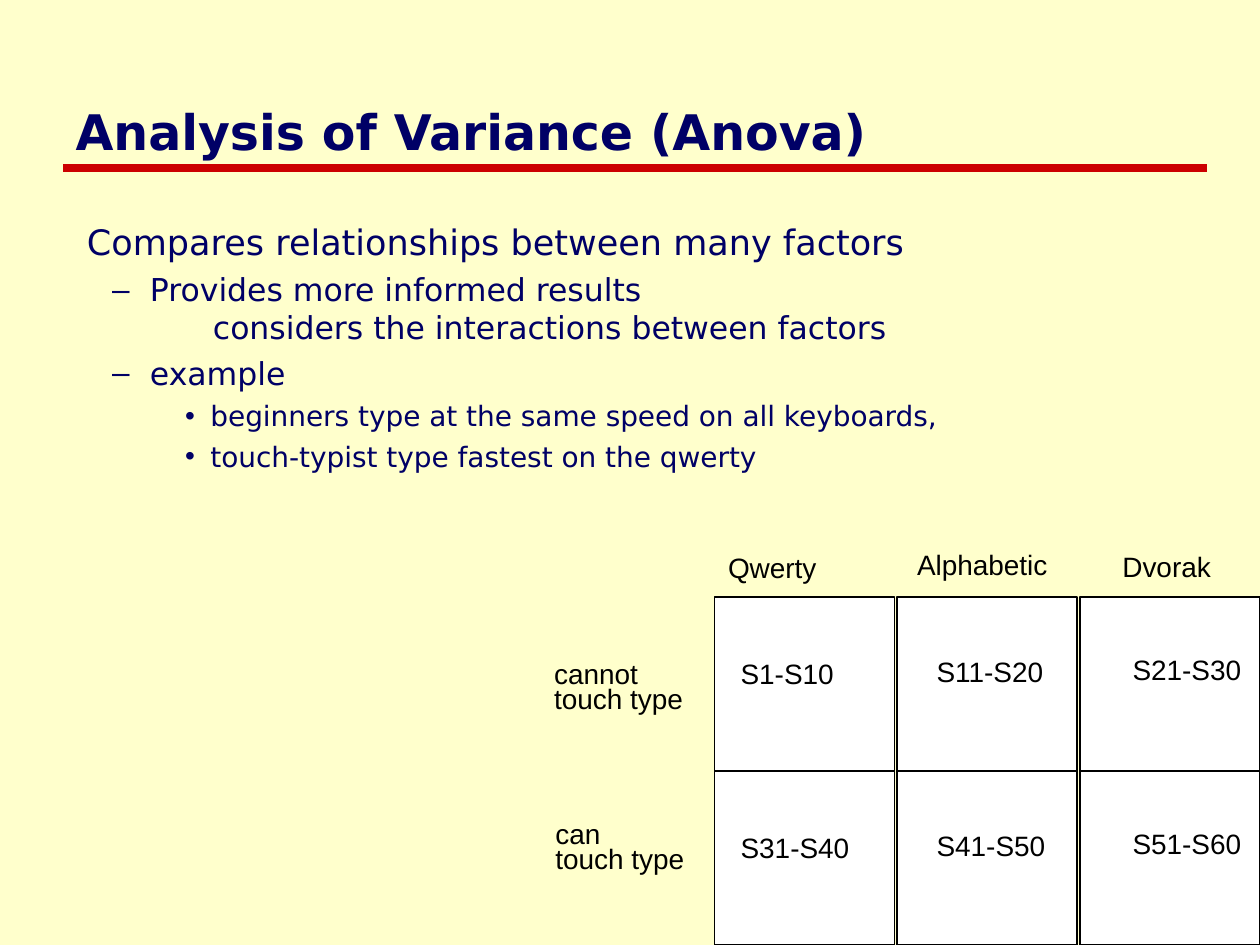
"""Build a slide on analysis of variance with a two by three grid of subjects."""
from pptx import Presentation
from pptx.dml.color import RGBColor
from pptx.enum.shapes import MSO_CONNECTOR as Connector, MSO_SHAPE as Shape
from pptx.enum.text import MSO_ANCHOR as Anchor, MSO_AUTO_SIZE as AutoSize, PP_ALIGN as Align
from pptx.oxml.ns import qn
from pptx.util import Inches, Pt
from lxml.etree import SubElement

CREAM = RGBColor(0xFF, 0xFF, 0xCC)
NAVY = RGBColor(0x00, 0x00, 0x66)
RED = RGBColor(0xCC, 0x00, 0x00)
WHITE = RGBColor(0xFF, 0xFF, 0xFF)
BLACK = RGBColor(0x00, 0x00, 0x00)

GRID_LEFT, GRID_TOP = 5.67, 4.74
COLUMN, ROW = 1.45, 1.38
CELL_WIDTH = 1.43
LABEL_HEIGHT = 0.37


def write(paragraph, text, *, size, font="DejaVu Sans", color=NAVY, bold=False, before=0):
    paragraph.text = text
    paragraph.alignment = Align.LEFT
    paragraph.space_before = Pt(before)
    for run in paragraph.runs:
        run.font.size = Pt(size)
        run.font.name = font
        run.font.bold = bold
        run.font.color.rgb = color


def add_label(slide, text, left, top, width):
    box = slide.shapes.add_textbox(Inches(left), Inches(top), Inches(width), Inches(LABEL_HEIGHT))
    box.text_frame.word_wrap = False
    box.text_frame.auto_size = AutoSize.SHAPE_TO_FIT_TEXT
    write(box.text_frame.paragraphs[0], text, size=16, font="Arial", color=BLACK)


presentation = Presentation()
presentation.slide_width, presentation.slide_height = Inches(10), Inches(7.5)
slide = presentation.slides.add_slide(presentation.slide_layouts[1])
slide.background.fill.solid()
slide.background.fill.fore_color.rgb = CREAM

title = slide.shapes.title
title.left, title.top, title.width, title.height = map(Inches, (0.5, 0.75, 8.5, 0.58))
title.text_frame.vertical_anchor = Anchor.MIDDLE
title.text_frame.auto_size = AutoSize.NONE
write(title.text_frame.paragraphs[0], "Analysis of Variance (Anova)", size=28, bold=True)

rule = slide.shapes.add_connector(
    Connector.STRAIGHT, Inches(0.5), Inches(1.33), Inches(9.58), Inches(1.33))
rule.line.color.rgb = RED
rule.line.width = Pt(4.5)
SubElement(rule._element.spPr, qn("a:effectLst"))

body = slide.placeholders[1]
body.left, body.top, body.width, body.height = map(Inches, (0.59, 1.7, 8.5, 3.15))
body.text_frame.auto_size = AutoSize.NONE
level_formats = [
    {"size": 20, "margin": 0, "indent": 0, "bullet": None},
    {"size": 18, "margin": 0.5, "indent": -0.3, "bullet": "–"},
    {"size": 16, "margin": 0.98, "indent": -0.2, "bullet": "•"},
]
points = [
    (0, "Compares relationships between many factors"),
    (1, "Provides more informed results\v\tconsiders the interactions between factors"),
    (1, "example"),
    (2, "beginners type at the same speed on all keyboards,"),
    (2, "touch-typist type fastest on the qwerty"),
]
for number, (level, text) in enumerate(points):
    frame = body.text_frame
    paragraph = frame.add_paragraph() if number else frame.paragraphs[0]
    style = level_formats[level]
    paragraph.level = level
    properties = paragraph._p.get_or_add_pPr()
    properties.set("marL", str(Inches(style["margin"])))
    properties.set("indent", str(Inches(style["indent"])))
    if style["bullet"]:
        SubElement(properties, qn("a:buChar"), char=style["bullet"])
    else:
        SubElement(properties, qn("a:buNone"))
    tabs = SubElement(properties, qn("a:tabLst"))
    for inch in range(1, 9):
        SubElement(tabs, qn("a:tab"), pos=str(Inches(inch)), algn="l")
    write(paragraph, text, size=style["size"], before=style["size"] / 4 if number else 0)

subjects = [["S1-S10", "S11-S20", "S21-S30"], ["S31-S40", "S41-S50", "S51-S60"]]
for row, groups in enumerate(subjects):
    for column, group in enumerate(groups):
        cell = slide.shapes.add_shape(
            Shape.RECTANGLE, Inches(GRID_LEFT + column * COLUMN), Inches(GRID_TOP + row * ROW),
            Inches(CELL_WIDTH), Inches(ROW))
        cell.shadow.inherit = False
        cell.fill.solid()
        cell.fill.fore_color.rgb = WHITE
        cell.line.color.rgb = BLACK
        cell.line.width = Pt(1)
        width = 0.94 if len(group) == 6 else 1.06
        add_label(slide, group, 5.78 + column * 1.555, 5.16 + row * ROW - column * 0.015, width)

keyboards = [("Qwerty", 5.68, 4.32, 0.9), ("Alphabetic", 7.18, 4.3, 1.24), ("Dvorak", 8.81, 4.31, 0.9)]
for keyboard, left, top, width in keyboards:
    add_label(slide, keyboard, left, top, width)

for ability, left, top, width in [("cannot", 4.3, 5.16, 0.87), ("can", 4.31, 6.43, 0.56)]:
    add_label(slide, ability, left, top, width)
    add_label(slide, "touch type", left, top + 0.2, 1.23)

presentation.save("out.pptx")
